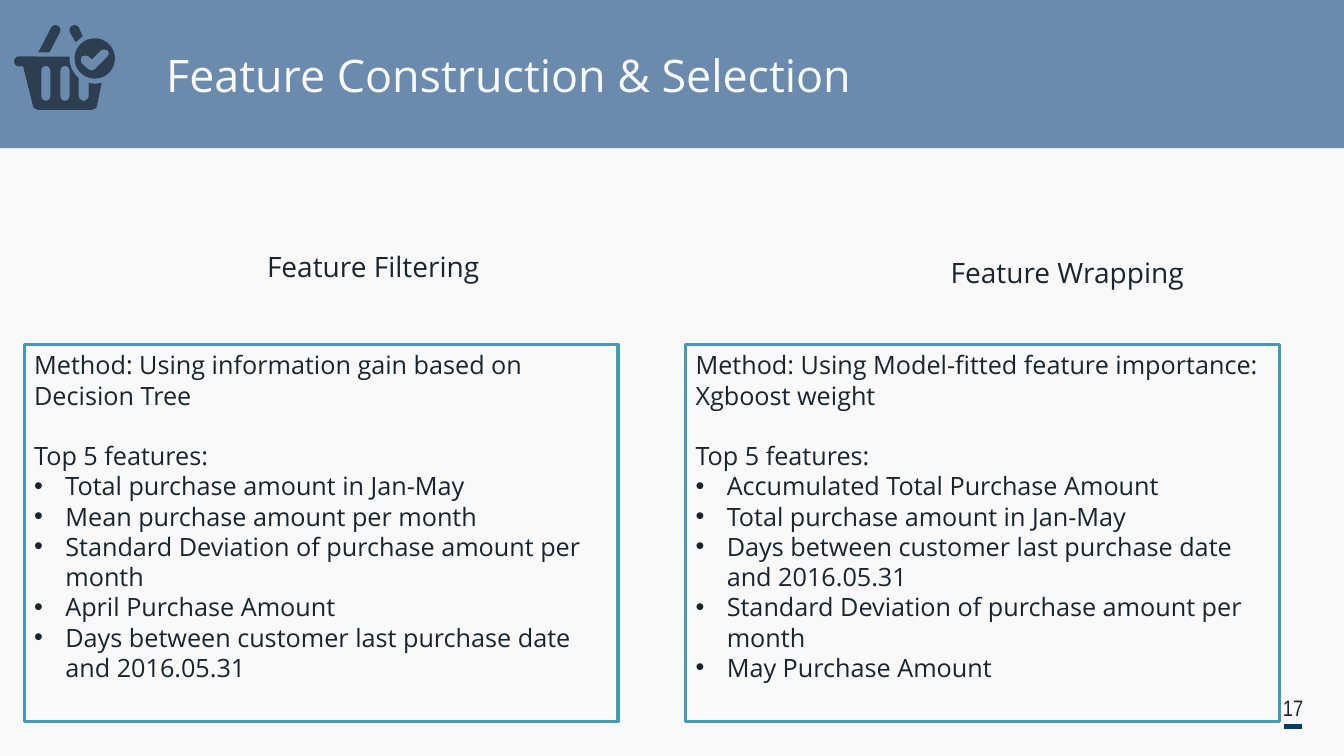
from dataclasses import dataclass
from math import cos, radians, sin

from lxml import etree
from pptx import Presentation, util as u
from pptx.dml.color import RGBColor
from pptx.enum import shapes, text
from pptx.oxml import ns


@dataclass(frozen=True)
class Theme:
    paper: str = "F9F9F9"
    band: str = "6A8BAD"
    ink: str = "1A242E"
    icon: str = "2C3E50"
    edge: str = "449BB5"
    rule: str = "043D5D"
    font: str = "Open Sans"
    thin: str = "Arial Narrow"
    title: int = 32
    head: int = 20
    body: int = 18
    page: int = 16


T = Theme()
COLS = [
    (0.24, (2.55, 2.43), "Feature Filtering",
     "Method: Using information gain based on Decision Tree",
     ["Total purchase amount in Jan-May",
      "Mean purchase amount per month",
      "Standard Deviation of purchase amount per month",
      "April Purchase Amount",
      "Days between customer last purchase date and 2016.05.31"]),
    (6.8, (9.33, 2.49), "Feature Wrapping",
     "Method: Using Model-fitted feature importance: Xgboost weight",
     ["Accumulated Total Purchase Amount",
      "Total purchase amount in Jan-May",
      "Days between customer last purchase date and 2016.05.31",
      "Standard Deviation of purchase amount per month",
      "May Purchase Amount"]),
]


def rgb(code):
    return RGBColor.from_string(code)


def paint(shape, fill, edge=None):
    shape.shadow.inherit = False
    shape.fill.solid()
    shape.fill.fore_color.rgb = rgb(fill)
    if edge:
        shape.line.color.rgb = rgb(edge)
        shape.line.width = u.Pt(2.25)
    else:
        shape.line.fill.background()


def write(para, words, size=T.body, color=T.ink, font=T.font,
          align=text.PP_ALIGN.LEFT, gap=0, dot=False):
    para.text = words
    para.alignment = align
    if gap:
        para.space_before = u.Pt(gap)
    if dot:
        props = para._p.get_or_add_pPr()
        props.set("marL", str(u.Inches(0.31)))
        props.set("indent", str(-u.Inches(0.31)))
        face = etree.SubElement(props, ns.qn("a:buFont"))
        face.set("typeface", "Arial")
        etree.SubElement(props, ns.qn("a:buChar")).set("char", "•")
    para.font.size = u.Pt(size)
    para.font.name = font
    para.font.color.rgb = rgb(color)


def rect(slide, box, fill, edge=None):
    shape = slide.shapes.add_shape(
        shapes.MSO_SHAPE.RECTANGLE, *map(u.Inches, box))
    paint(shape, fill, edge)
    return shape


def label(slide, box, words, mid=False, **style):
    frame = slide.shapes.add_textbox(*map(u.Inches, box)).text_frame
    frame.word_wrap = True
    if mid:
        frame.vertical_anchor = text.MSO_ANCHOR.MIDDLE
    write(frame.paragraphs[0], words, **style)


def panel(slide, left, method, items):
    frame = rect(slide, (left, 3.42, 5.89, 3.74), T.paper, T.edge).text_frame
    frame.word_wrap = True
    frame.vertical_anchor = text.MSO_ANCHOR.TOP
    write(frame.paragraphs[0], method)
    # One line of space sets the list apart from the method
    write(frame.add_paragraph(), "Top 5 features:", gap=T.body * 1.2)
    for item in items:
        write(frame.add_paragraph(), item, dot=True)


def arc(x, y, r, start, end, steps=12):
    turns = [radians(start + (end - start) * i / steps)
             for i in range(steps + 1)]
    return [(x + r * cos(a), y + r * sin(a)) for a in turns]


def slot(x):
    return arc(x, 0.7, 0.045, 180, 360) + arc(x, 0.955, 0.045, 0, 180)


def basket(slide):
    badge = arc(0.94, 0.58, 0.2, 0, 360, 48)
    tick = [(1.0, 0.5), (0.91, 0.59), (0.88, 0.56), (0.85, 0.55),
            (0.81, 0.56), (0.8, 0.59), (0.81, 0.63), (0.88, 0.69),
            (0.91, 0.7), (0.94, 0.69), (1.07, 0.56), (1.08, 0.53),
            (1.07, 0.5), (1.03, 0.49)]
    grips = [
        arc(0.55, 0.3, 0.05, 205, 385) + [(0.49, 0.52), (0.38, 0.52)],
        arc(0.74, 0.3, 0.05, 155, 335) + [(0.82, 0.36), (0.75, 0.42)],
    ]
    body = (arc(0.19, 0.61, 0.05, 90, 270)
            + arc(0.94, 0.58, 0.25, 184, 130)
            + arc(0.83, 0.95, 0.05, 180, 0)
            + arc(0.94, 0.58, 0.25, 104, 74)
            + [(0.96, 1.06), (0.94, 1.08), (0.91, 1.09), (0.38, 1.09),
               (0.35, 1.08), (0.33, 1.06), (0.23, 0.66)])
    loops = [[(x * 1000, y * 1000) for x, y in loop] for loop in
             (badge, tick, *grips, body, slot(0.455), slot(0.645))]
    pen = slide.shapes.build_freeform(*loops[0][0], scale=u.Inches(1) / 1000)
    pen.add_line_segments(loops[0][1:], close=True)
    for loop in loops[1:]:
        pen.move_to(*loop[0])
        pen.add_line_segments(loop[1:], close=True)
    paint(pen.convert_to_shape(), T.icon)


def rule(slide, *ends):
    line = slide.shapes.add_connector(
        shapes.MSO_CONNECTOR.STRAIGHT, *map(u.Inches, ends))
    line.line.color.rgb = rgb(T.rule)
    line.line.width = u.Pt(3.5)
    etree.SubElement(line._element.spPr, ns.qn("a:effectLst"))


def main():
    deck = Presentation()
    deck.slide_width, deck.slide_height = u.Inches(13.33), u.Inches(7.5)
    slide = deck.slides.add_slide(deck.slide_layouts[6])
    slide.background.fill.solid()
    slide.background.fill.fore_color.rgb = rgb(T.paper)

    # Page number
    rule(slide, 12.73, 7.21, 12.91, 7.21)
    label(slide, (12.52, 6.78, 0.61, 0.47), "17", mid=True, size=T.page,
          font=T.thin, align=text.PP_ALIGN.CENTER)

    # Title band
    rect(slide, (0, -0.01, 13.33, 1.48), T.band)
    label(slide, (1.55, 0.42, 11.38, 0.64),
          "Feature Construction & Selection", size=T.title, color=T.paper)
    basket(slide)

    # Two methods side by side
    for left, spot, head, method, items in COLS:
        label(slide, (*spot, 2.59, 0.44), head, size=T.head)
        panel(slide, left, method, items)

    deck.save("out.pptx")


if __name__ == "__main__":
    main()
